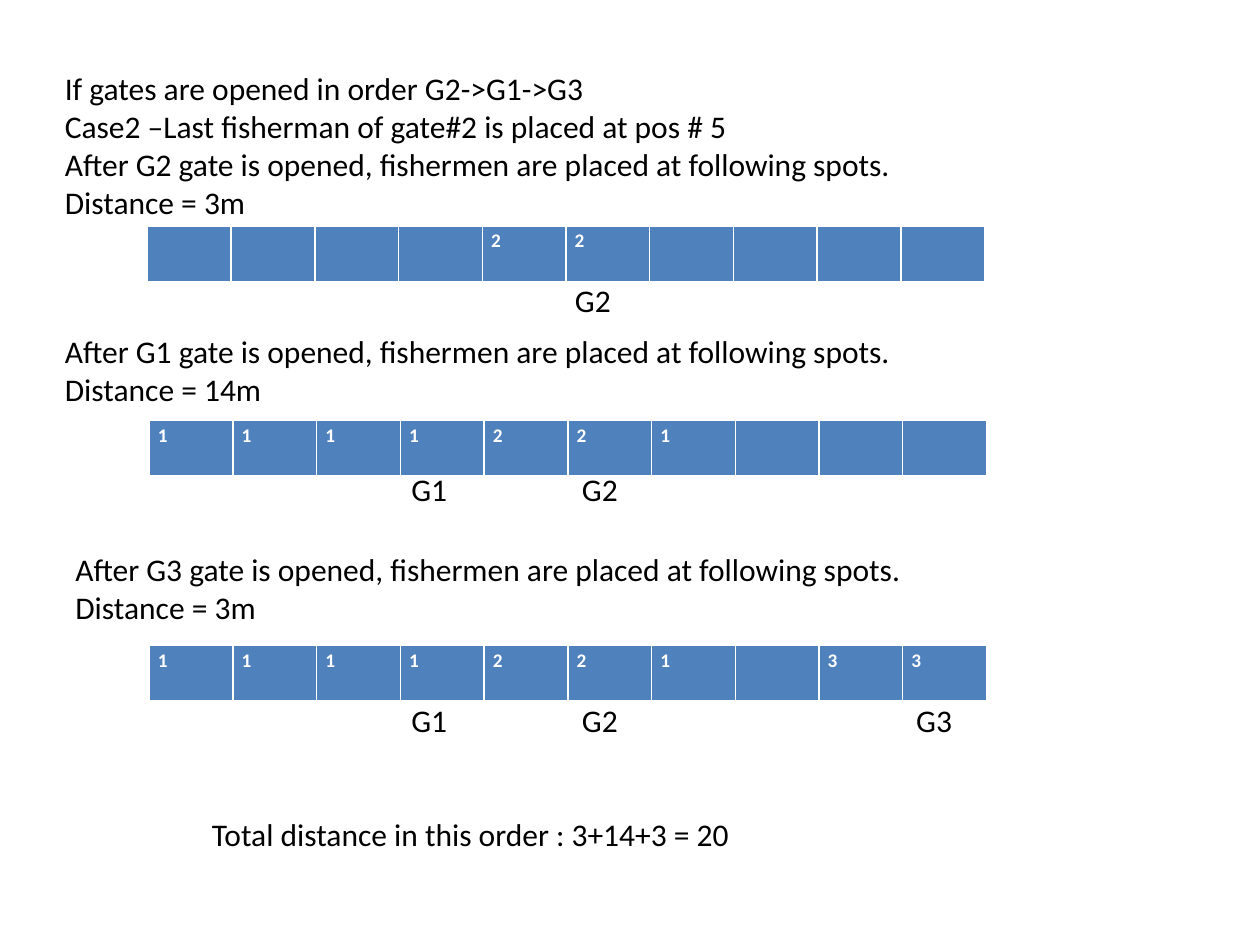
import pptx
import pptx.dml.color
import pptx.oxml
import pptx.oxml.ns
import pptx.util
from dataclasses import dataclass

Pt = pptx.util.Pt
RGBColor = pptx.dml.color.RGBColor


@dataclass(frozen=True)
class Theme:
    font: str = "Calibri"
    text: str = "000000"
    cell: str = "4F81BD"
    light: str = "FFFFFF"
    body_size: int = 18
    cell_size: int = 11


theme = Theme()
namespace = pptx.oxml.ns.nsdecls("a")


def format_paragraph(paragraph, size, color, bold=False):
    paragraph.font.name = theme.font
    paragraph.font.size = Pt(size)
    paragraph.font.bold = bold
    paragraph.font.color.rgb = RGBColor.from_string(color)


def add_text(left, top, width, height, lines, tab_stops=()):
    text_box = slide.shapes.add_textbox(Pt(left), Pt(top), Pt(width), Pt(height))
    text_frame = text_box.text_frame
    text_frame.word_wrap = True
    text_frame.text = "\n".join(lines)
    for paragraph in text_frame.paragraphs:
        format_paragraph(paragraph, theme.body_size, theme.text)
        if tab_stops:
            stops = "".join(f'<a:tab pos="{Pt(stop)}" algn="l"/>' for stop in tab_stops)
            tab_list = pptx.oxml.parse_xml(f"<a:tabLst {namespace}>{stops}</a:tabLst>")
            paragraph._p.get_or_add_pPr().insert(0, tab_list)


presentation = pptx.Presentation()
presentation.slide_width = Pt(720)
presentation.slide_height = Pt(540)
slide = presentation.slides.add_slide(presentation.slide_layouts[6])

placed = "After {} gate is opened, fishermen are placed at following spots."
stages = [
    {
        "text_box": (30, 36, 618, 116.6),
        "lines": [
            "If gates are opened in order G2->G1->G3",
            "Case2 –Last fisherman of gate#2 is placed at pos # 5",
            placed.format("G2"),
            "Distance = 3m",
        ],
        "table_origin": (84.2, 129),
        "spots": ["", "", "", "", "2", "2", "", "", "", ""],
        "gates_top": 157,
        "gates": {"G2": 201.5},
    },
    {
        "text_box": (30, 186, 522, 72.7),
        "lines": [placed.format("G1"), "Distance = 14m"],
        "table_origin": (85.2, 240),
        "spots": ["1", "1", "1", "1", "2", "2", "1", "", "", ""],
        "gates_top": 265,
        "gates": {"G1": 108, "G2": 205.5},
    },
    {
        "text_box": (36, 311, 522, 72.7),
        "lines": [placed.format("G3"), "Distance = 3m"],
        "table_origin": (85.2, 368.6),
        "spots": ["1", "1", "1", "1", "2", "2", "1", "", "3", "3"],
        "gates_top": 397,
        "gates": {"G1": 108, "G2": 205.5, "G3": 396.5},
    },
]

table_width, table_height = 478.5, 33
border_widths = {"lnL": 1, "lnR": 1, "lnT": 1, "lnB": 3}

for stage in stages:
    add_text(*stage["text_box"], stage["lines"])

    spots = stage["spots"]
    left, top = stage["table_origin"]
    table = slide.shapes.add_table(
        1, len(spots), Pt(left), Pt(top), Pt(table_width), Pt(table_height)
    ).table
    for column in table.columns:
        column.width = Pt(table_width / len(spots))
    for cell, spot in zip(table.rows[0].cells, spots):
        cell.text = spot
        cell.margin_left = cell.margin_right = Pt(5)
        cell.margin_top = cell.margin_bottom = 0
        cell.fill.solid()
        cell.fill.fore_color.rgb = RGBColor.from_string(theme.cell)
        paragraph = cell.text_frame.paragraphs[0]
        paragraph.line_spacing = 1.15
        format_paragraph(paragraph, theme.cell_size, theme.light, bold=True)
        for index, (side, width) in enumerate(border_widths.items()):
            border = pptx.oxml.parse_xml(
                f'<a:{side} {namespace} w="{Pt(width)}"><a:solidFill>'
                f'<a:srgbClr val="{theme.light}"/></a:solidFill></a:{side}>'
            )
            cell._tc.get_or_add_tcPr().insert(index, border)

    gates = stage["gates"]
    gate_line = "".join(f"\t{gate}" for gate in gates)
    add_text(120, stage["gates_top"], 438, 29, [gate_line], gates.values())

add_text(114, 462, 450, 29, ["Total distance in this order : 3+14+3 = 20"])

presentation.save("out.pptx")
